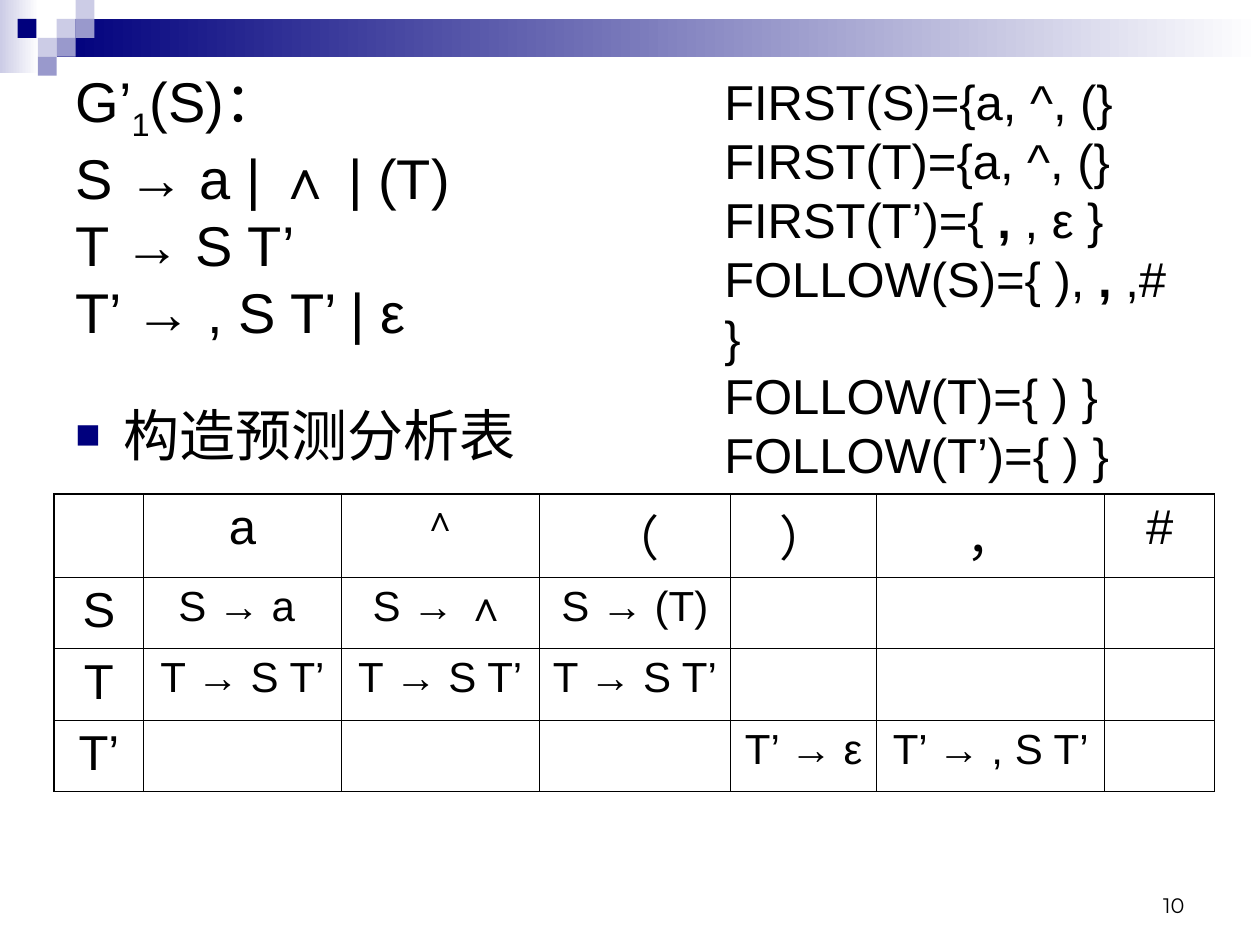
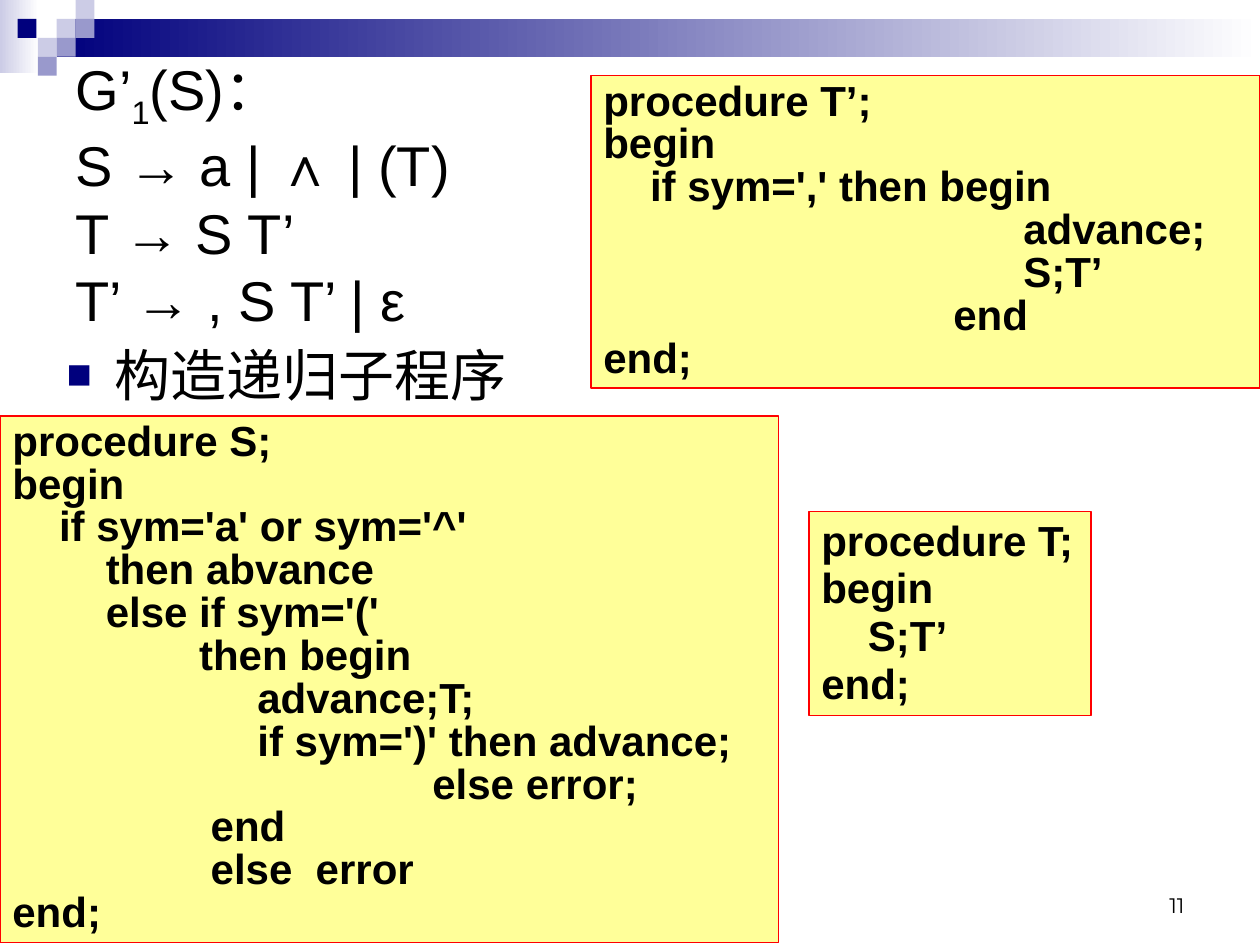
"""Build two slides on predictive parsing: the analysis table and the recursive procedures."""
from pptx import Presentation
from pptx.dml.color import RGBColor
from pptx.enum.shapes import MSO_SHAPE
from pptx.enum.text import MSO_ANCHOR, MSO_AUTO_SIZE, PP_ALIGN
from pptx.oxml import parse_xml
from pptx.oxml.ns import nsdecls
from pptx.util import Inches, Pt

COLORS = {"ink": "000000", "paper": "FFFFFF", "navy": "00007D", "mid": "9999CC",
          "pale": "CCCCE6", "note": "FFFF99", "edge": "FF0000"}
FONT = "Arial"
FIRST_NUMBER = 10
TITLE_LEFT, TITLE_WIDTH, TITLE_HEIGHT = 0.5, 9, 2.07
BULLET_INDENT = 0.38
SPACE_WIDTH = 0.0926

GRAMMAR = [["G’", ("1", "sub"), "(S)："], ["S → a | ∧ | (T)"], ["T → S T’"], ["T’ → , S T’ | ε"]]

BAND_UNIT = 0.15
BAND_GRADIENTS = [((0, 0, 0.31, 0.58), "pale"), ((0.45, 0.15, 9.55, 0.3), "navy")]
BAND_SQUARES = [(3, 1, "pale"), (4, 0, "pale"), (4, 1, "mid"), (2, 2, "pale"),
                (0.93, 1, "navy"), (3, 2, "mid"), (2, 3, "mid")]

SETS_BOX = (5.15, 0.52, 4.44, 2.9)
SETS = [["FIRST(S)={a, ^, (}"],
        ["FIRST(T)={a, ^, (}"],
        ["FIRST(T’)={ ", (", ", "bold"), ", ε }"],
        ["FOLLOW(S)={ ), ", (", ", "bold"), ",# }"],
        ["FOLLOW(T)={ ) }"],
        ["FOLLOW(T’)={ ) }"]]

PARSE_ORIGIN = (0.43, 3.92)
PARSE_COLUMNS = [0.71, 1.57, 1.57, 1.52, 1.16, 1.81, 0.87]
PARSE_ROWS = [0.66, 0.54, 0.54, 0.54]
PARSE_TABLE = [["", "a", "∧", "（", "）", "，", "#"],
               ["S", "S → a ", "S → ∧", "S → (T)", "", "", ""],
               ["T", "T → S T’", "T → S T’", "T → S T’", "", "", ""],
               ["T’", "", "", "", "T’ → ε", "T’ → , S T’", ""]]

PROCEDURES = [
    {"box": (0, 3.3, 6.18, 4.18), "spacing": 0.85, "wrap": True, "code": [
        (0, "procedure S;"), (0, "begin"), (4, "if sym='a' or sym='^'"),
        (8, "then abvance"), (8, "else if sym='('"), (16, "then begin"),
        (21, "advance;T;"), (21, "if sym=')' then advance;"), (36, "else error;"),
        (17, "end"), (17, "else  error"), (0, "end;")]},
    {"box": (6.42, 4.06, 2.24, 1.62), "spacing": 0.95, "wrap": False, "code": [
        (0, "procedure T;"), (0, "begin"), (4, "S;T’"), (0, "end;")]},
    {"box": (4.69, 0.6, 5.31, 2.48), "spacing": 0.85, "wrap": True, "code": [
        (0, "procedure T’;"), (0, "begin"), (4, "if sym=',' then begin"),
        (36, "advance;"), (36, "S;T’"), (30, "end"), (0, "end;")]},
]


def rgb(key):
    return RGBColor.from_string(COLORS[key])


def inches(values):
    return [Inches(value) for value in values]


def apply(target, **values):
    for name, value in values.items():
        setattr(target, name, value)


def add_run(paragraph, piece, size, bold=False, face=FONT):
    text, style = piece if isinstance(piece, tuple) else (piece, "")
    run = paragraph.add_run()
    run.text = text
    apply(run.font, name=face, size=Pt(size), bold=bold or style == "bold")
    run.font.color.rgb = rgb("ink")
    if style == "sub":
        run.font._element.set("baseline", "-25000")


def paragraphs(frame, count):
    return [frame.paragraphs[0]] + [frame.add_paragraph() for _ in range(count - 1)]


def add_rect(slide, box, fill=None, edge=None):
    shape = slide.shapes.add_shape(MSO_SHAPE.RECTANGLE, *inches(box))
    shape.shadow.inherit = False
    if fill:
        shape.fill.solid()
        shape.fill.fore_color.rgb = rgb(fill)
    if edge:
        shape.line.color.rgb = rgb(edge)
        shape.line.width = Pt(1)
    else:
        shape.line.fill.background()
    return shape


def add_band(slide):
    for box, color in BAND_GRADIENTS:
        fill = add_rect(slide, box).fill
        fill.gradient()
        fill.gradient_angle = 180
        for stop, key in zip(fill.gradient_stops, ("paper", color)):
            stop.color.rgb = rgb(key)
    for column, row, color in BAND_SQUARES:
        add_rect(slide, (column * BAND_UNIT, row * BAND_UNIT, BAND_UNIT, BAND_UNIT), color)


def add_grammar(slide, top):
    title = slide.shapes.title
    left, top, width, height = inches((TITLE_LEFT, top, TITLE_WIDTH, TITLE_HEIGHT))
    apply(title, left=left, top=top, width=width, height=height)
    apply(title.text_frame, auto_size=MSO_AUTO_SIZE.NONE, vertical_anchor=MSO_ANCHOR.MIDDLE)
    paragraph = title.text_frame.paragraphs[0]
    paragraph.alignment = PP_ALIGN.LEFT
    for index, rule in enumerate(GRAMMAR):
        if index:
            paragraph.add_line_break()
        for piece in rule:
            add_run(paragraph, piece, 32)


def add_task(slide, text, box):
    frame = slide.shapes.add_textbox(*inches(box)).text_frame
    frame.word_wrap = True
    task = frame.paragraphs[0]
    task.space_before = Pt(8)
    add_run(task, text, 32)
    properties = task._p.get_or_add_pPr()
    indent = Inches(BULLET_INDENT)
    properties.set("marL", str(indent))
    properties.set("indent", str(-indent))
    for bullet in (f'<a:buClr {nsdecls("a")}><a:srgbClr val="{COLORS["navy"]}"/></a:buClr>',
                   f'<a:buSzPct {nsdecls("a")} val="75000"/>',
                   f'<a:buFont {nsdecls("a")} typeface="{FONT}"/>',
                   f'<a:buChar {nsdecls("a")} char="■"/>'):
        properties.append(parse_xml(bullet))


def add_number(slide, number):
    frame = slide.shapes.add_textbox(*inches((7.17, 6.83, 2.33, 0.5))).text_frame
    apply(frame, word_wrap=True, vertical_anchor=MSO_ANCHOR.BOTTOM)
    frame.paragraphs[0].alignment = PP_ALIGN.RIGHT
    add_run(frame.paragraphs[0], str(number), 12, face="Montserrat")


def add_sets(slide):
    frame = slide.shapes.add_textbox(*inches(SETS_BOX)).text_frame
    apply(frame, word_wrap=False, auto_size=MSO_AUTO_SIZE.SHAPE_TO_FIT_TEXT)
    for paragraph, pieces in zip(paragraphs(frame, len(SETS)), SETS):
        paragraph._p.get_or_add_pPr().set("marL", str(Inches(0.5)))
        for piece in pieces:
            add_run(paragraph, piece, 28)


def add_borders(cell, outer_sides):
    properties = cell._tc.get_or_add_tcPr()
    for side in "LRTB":
        width = Pt(1.08 if side in outer_sides else 0.45)
        properties.append(parse_xml(
            f'<a:ln{side} {nsdecls("a")} w="{width}"><a:solidFill>'
            f'<a:srgbClr val="{COLORS["ink"]}"/></a:solidFill></a:ln{side}>'))


def add_parse_table(slide):
    size = (sum(PARSE_COLUMNS), sum(PARSE_ROWS))
    rows, columns = len(PARSE_ROWS), len(PARSE_COLUMNS)
    table = slide.shapes.add_table(rows, columns, *inches(PARSE_ORIGIN + size)).table
    apply(table, first_row=False, horz_banding=False)
    for column, width in zip(table.columns, PARSE_COLUMNS):
        column.width = Inches(width)
    for row, height in zip(table.rows, PARSE_ROWS):
        row.height = Inches(height)
    for r, entries in enumerate(PARSE_TABLE):
        for c, entry in enumerate(entries):
            cell = table.cell(r, c)
            edges = {"L": c == 0, "R": c == columns - 1, "T": r == 0, "B": r == rows - 1}
            add_borders(cell, [side for side, outer in edges.items() if outer])
            cell.fill.background()
            if entry:
                size = 20 if entry == "∧" else 24 if r and c else 28
                paragraph = cell.text_frame.paragraphs[0]
                apply(paragraph, alignment=PP_ALIGN.CENTER, space_before=Pt(size // 4))
                add_run(paragraph, entry, size)


def add_procedure(slide, procedure):
    frame = add_rect(slide, procedure["box"], "note", "edge").text_frame
    apply(frame, word_wrap=procedure["wrap"], vertical_anchor=MSO_ANCHOR.TOP,
          auto_size=MSO_AUTO_SIZE.SHAPE_TO_FIT_TEXT)
    code = procedure["code"]
    for paragraph, (column, statement) in zip(paragraphs(frame, len(code)), code):
        apply(paragraph, alignment=PP_ALIGN.LEFT, line_spacing=procedure["spacing"])
        paragraph._p.get_or_add_pPr().set("marL", str(Inches(column * SPACE_WIDTH)))
        add_run(paragraph, statement, 24, bold=True)


def add_table_parts(slide):
    add_sets(slide)
    add_parse_table(slide)


def add_procedure_parts(slide):
    for procedure in PROCEDURES:
        add_procedure(slide, procedure)


SLIDES = [
    {"title_top": 0.6, "task": "构造预测分析表", "task_box": (0.5, 3.13, 9, 0.7),
     "parts": add_table_parts},
    {"title_top": 0.5, "task": "构造递归子程序", "task_box": (0.43, 2.65, 4.2, 0.65),
     "parts": add_procedure_parts},
]


def main():
    deck = Presentation()
    apply(deck, slide_width=Inches(10), slide_height=Inches(7.5))
    for number, content in enumerate(SLIDES, FIRST_NUMBER):
        slide = deck.slides.add_slide(deck.slide_layouts[5])
        add_band(slide)
        add_grammar(slide, content["title_top"])
        add_task(slide, content["task"], content["task_box"])
        content["parts"](slide)
        add_number(slide, number)
    deck.save("out.pptx")


if __name__ == "__main__":
    main()
